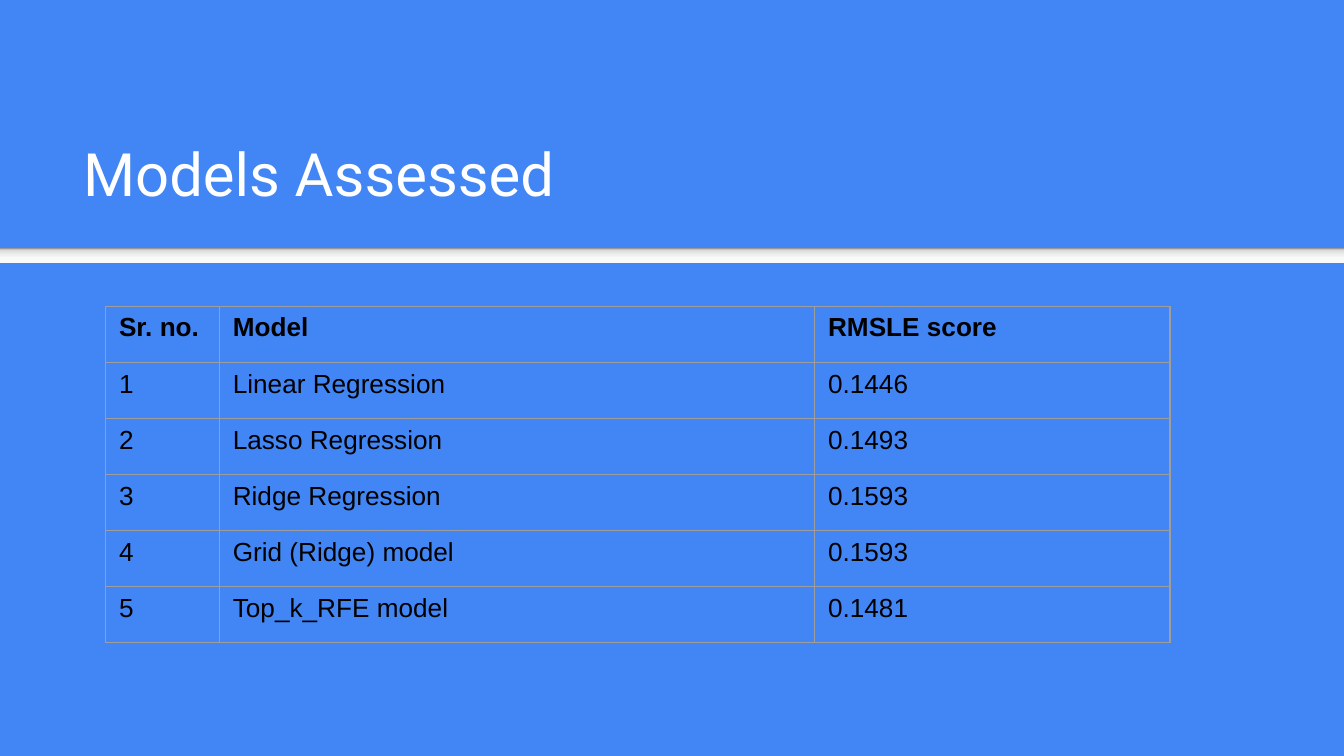
from copy import deepcopy
from dataclasses import dataclass

from lxml.etree import SubElement
from pptx import Presentation
from pptx.dml.color import RGBColor as Rgb
from pptx.enum.shapes import MSO_SHAPE as Shape
from pptx.enum.text import MSO_ANCHOR as Anchor, MSO_AUTO_SIZE as AutoSize, PP_ALIGN as Align
from pptx.oxml.ns import qn
from pptx.util import Cm, Pt


@dataclass(frozen=True)
class Theme:
    background: str = "4285F4"
    title_color: str = "FFFFFF"
    table_color: str = "000000"
    border_color: str = "9E9E9E"
    divider_stops: tuple = ((0, "F9F9F9"), (0.36, "F9F9F9"), (0.8, "DEDEDE"), (1, "999999"))
    title_font: str = "Roboto"
    table_font: str = "Arial"
    title_size: int = 32
    table_size: int = 14
    border_width: float = 0.75


class SlideBuilder:
    def __init__(self, slide, theme):
        self.slide = slide
        self.theme = theme
        fill = slide.background.fill
        fill.solid()
        fill.fore_color.rgb = Rgb.from_string(theme.background)

    def add_run(self, paragraph, text, font, size, color, bold=False):
        run = paragraph.add_run()
        run.text = text
        run.font.name = font
        run.font.size = Pt(size)
        run.font.bold = bold
        run.font.color.rgb = Rgb.from_string(color)

    def add_divider(self, left, top, width, height):
        """Draw a full-width band that darkens towards its upper edge."""
        band = self.slide.shapes.add_shape(
            Shape.RECTANGLE, Cm(left), Cm(top), Cm(width), Cm(height))
        band.shadow.inherit = False
        band.line.fill.background()
        band.fill.gradient()
        band.fill.gradient_angle = 90
        stop_list = next(band._element.iter(qn("a:gsLst")))
        for _ in self.theme.divider_stops[2:]:
            stop_list.append(deepcopy(stop_list[0]))
        for stop, (position, color) in zip(band.fill.gradient_stops, self.theme.divider_stops):
            stop.position = position
            stop.color.rgb = Rgb.from_string(color)

    def set_title(self, text, left, top, width, height):
        title = self.slide.shapes.title
        title.left, title.top = Cm(left), Cm(top)
        title.width, title.height = Cm(width), Cm(height)
        frame = title.text_frame
        frame.word_wrap = True
        frame.auto_size = AutoSize.NONE
        frame.vertical_anchor = Anchor.BOTTOM
        frame.margin_left = frame.margin_right = Cm(0.25)
        frame.margin_top = frame.margin_bottom = Cm(0.25)
        paragraph = frame.paragraphs[0]
        paragraph.alignment = Align.LEFT
        self.add_run(paragraph, text, self.theme.title_font,
                     self.theme.title_size, self.theme.title_color)

    def add_borders(self, cell):
        properties = cell._tc.get_or_add_tcPr()
        for side in ("a:lnL", "a:lnR", "a:lnT", "a:lnB"):
            border = SubElement(properties, qn(side), w=str(Pt(self.theme.border_width)))
            fill = SubElement(border, qn("a:solidFill"))
            SubElement(fill, qn("a:srgbClr"), val=self.theme.border_color)

    def add_table(self, rows, left, top, column_widths, row_height):
        table = self.slide.shapes.add_table(
            len(rows), len(column_widths), Cm(left), Cm(top),
            Cm(sum(column_widths)), Cm(row_height * len(rows))).table
        table.first_row = table.horz_banding = False
        for column, width in zip(table.columns, column_widths):
            column.width = Cm(width)
        for row_index, values in enumerate(rows):
            table.rows[row_index].height = Cm(row_height)
            for column_index, value in enumerate(values):
                cell = table.cell(row_index, column_index)
                self.add_borders(cell)
                cell.fill.background()
                cell.margin_left = cell.margin_right = Cm(0.25)
                cell.margin_top = cell.margin_bottom = Cm(0.13)
                self.add_run(cell.text_frame.paragraphs[0], value, self.theme.table_font,
                             self.theme.table_size, self.theme.table_color,
                             bold=row_index == 0)


def main():
    presentation = Presentation()
    presentation.slide_width, presentation.slide_height = Cm(25.4), Cm(14.29)
    title_only = presentation.slide_layouts[5]
    builder = SlideBuilder(presentation.slides.add_slide(title_only), Theme())

    builder.add_divider(0, 4.68, 25.4, 0.3)
    builder.set_title("Models Assessed", 1.32, 2.06, 22.83, 2.13)

    scores = (
        ("Linear Regression", "0.1446"),
        ("Lasso Regression", "0.1493"),
        ("Ridge Regression", "0.1593"),
        ("Grid (Ridge) model", "0.1593"),
        ("Top_k_RFE model", "0.1481"),
    )
    rows = [("Sr. no.", "Model", "RMSLE score")]
    rows += [(str(number), *score) for number, score in enumerate(scores, start=1)]
    builder.add_table(rows, 2, 5.79, (2.15, 11.25, 6.71), 1.06)

    presentation.save("out.pptx")


if __name__ == "__main__":
    main()
